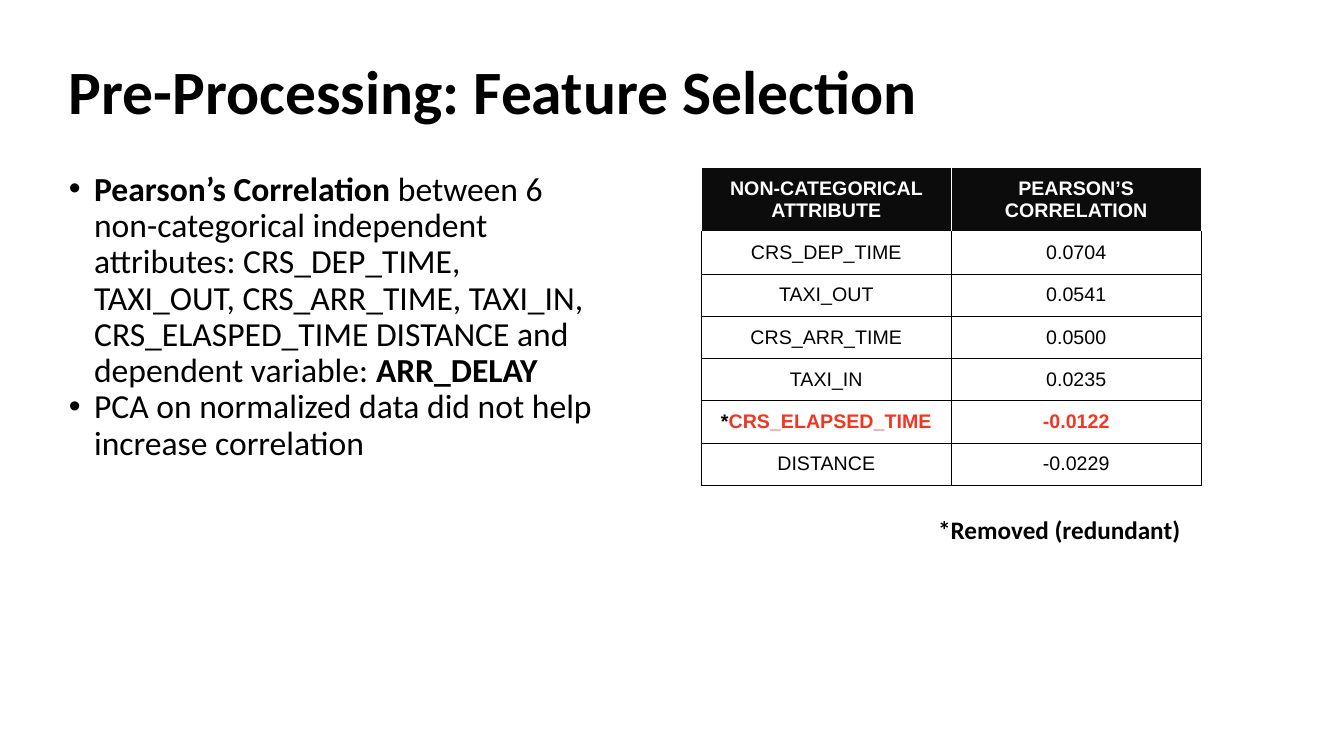
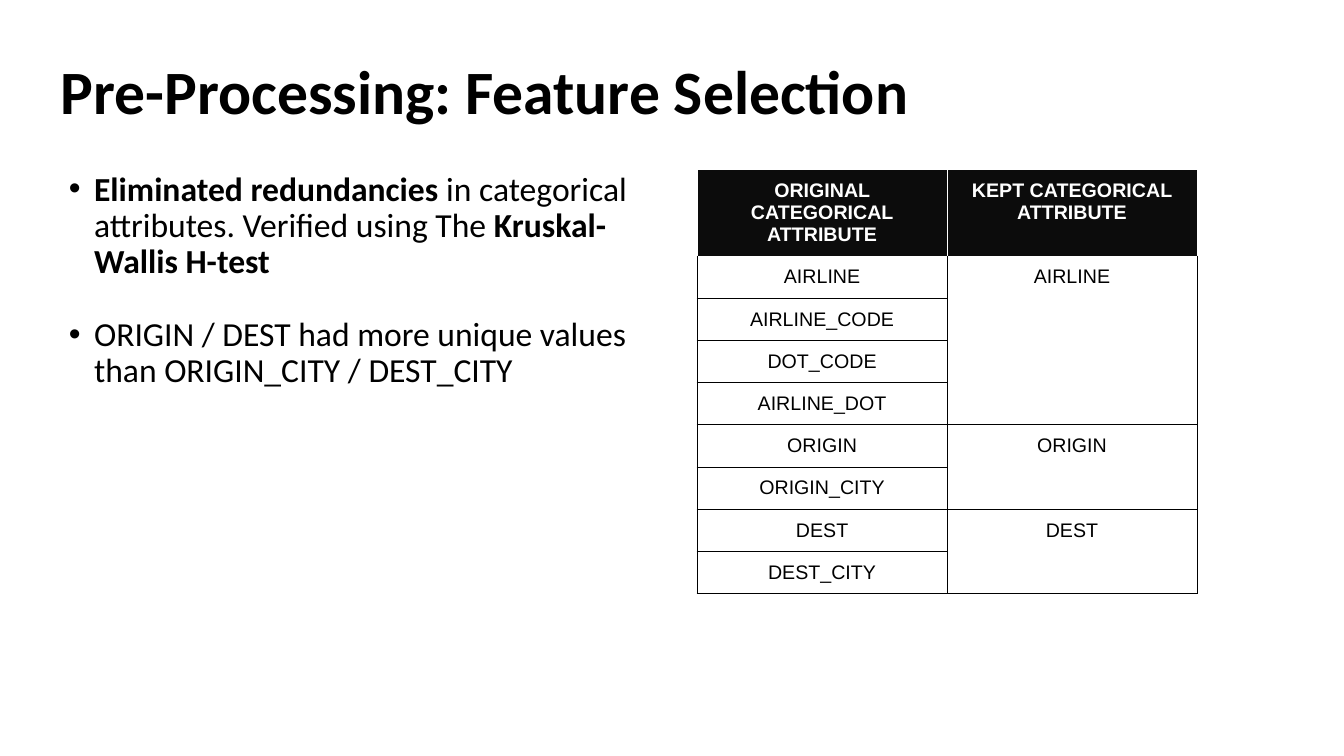
from dataclasses import dataclass

from lxml.etree import SubElement
from pptx import Presentation
from pptx.dml.color import RGBColor
from pptx.enum.text import MSO_ANCHOR, MSO_AUTO_SIZE, PP_ALIGN
from pptx.oxml.ns import qn
from pptx.util import Inches, Pt

GRID = Inches(1) / 12  # the slide is 160 columns by 90 rows


@dataclass(frozen=True)
class Theme:
    ink: str = "000000"
    paper: str = "FFFFFF"
    header: str = "0C0C0C"
    alert: str = "F03723"
    font: str = "Calibri"
    table_font: str = "Arial"
    title_size: int = 44
    body_size: int = 24
    note_size: int = 18
    cell_size: int = 14
    border: float = 0.75
    line_spacing: float = 0.9


T = Theme()
TITLE = "Pre-Processing: Feature Selection"


def units(n):
    return int(n * GRID)


def place(shape, box):
    for name, value in zip(("left", "top", "width", "height"), box):
        setattr(shape, name, units(value))


def add_runs(p, runs, font, size, bold=False, color=T.ink):
    """Write a string, or (text, overrides) pairs, into a paragraph."""
    for text, extra in [(runs, {})] if isinstance(runs, str) else runs:
        r = p.add_run()
        r.text = text
        look = {"name": font, "size": Pt(size), "bold": bold, "color": color, **extra}
        r.font.color.rgb = RGBColor.from_string(look.pop("color"))
        for name, value in look.items():
            setattr(r.font, name, value)


def set_frame(tf, **values):
    for name, value in {"word_wrap": True, "auto_size": MSO_AUTO_SIZE.NONE, **values}.items():
        setattr(tf, name, value)


def add_title(s, box):
    sp = s.shapes.title
    place(sp, box)
    set_frame(sp.text_frame, vertical_anchor=MSO_ANCHOR.MIDDLE)
    p = sp.text_frame.paragraphs[0]
    p.alignment, p.line_spacing = PP_ALIGN.LEFT, T.line_spacing
    add_runs(p, TITLE, T.font, T.title_size, bold=True)


def add_bullets(s, box, items, gap=0):
    sp = s.placeholders[1]
    place(sp, box)
    tf = sp.text_frame
    set_frame(tf, vertical_anchor=MSO_ANCHOR.TOP)
    for i, runs in enumerate(items):
        p = tf.add_paragraph() if i else tf.paragraphs[0]
        p.line_spacing = T.line_spacing
        p.space_before = Pt(gap if i else 0)
        pPr = p._p.get_or_add_pPr()
        pPr.set("marL", str(units(3)))
        pPr.set("indent", str(units(-3)))
        add_runs(p, runs, T.font, T.body_size)


def set_borders(cell, colors):
    """Draw the sides named in colors, a dict such as {"L": "000000"}."""
    tcPr = cell._tc.get_or_add_tcPr()
    for side, color in colors.items():
        ln = SubElement(tcPr, qn(f"a:ln{side}"), w=str(Pt(T.border)))
        fill = SubElement(ln, qn("a:solidFill"))
        SubElement(fill, qn("a:srgbClr"), val=color)


def style_cell(cell, row, last_row):
    if cell.is_spanned:
        sides = "LRB" if last_row else "LR"
    else:
        sides = "LRTB"
    colors = {side: T.paper if row == 0 or (row == 1 and side == "T") else T.ink
              for side in sides}
    set_borders(cell, colors)
    if row == 0:
        cell.fill.solid()
        cell.fill.fore_color.rgb = RGBColor.from_string(T.header)
    else:
        cell.fill.background()
    for side in ("left", "top", "right", "bottom"):
        setattr(cell, f"margin_{side}", Inches(0.1))


def add_table(s, left, top, header_height, rows, row_height=5, col_width=29.75):
    """Fill a table; None continues the cell above it."""
    n, cols = len(rows), len(rows[0])
    height = header_height + row_height * (n - 1)
    table = s.shapes.add_table(
        n, cols, *map(units, (left, top, col_width * cols, height))).table
    table.horz_banding = False
    for c in range(cols):
        starts = [r for r in range(n) if rows[r][c] is not None]
        for first, after in zip(starts, starts[1:] + [n]):
            if after - first > 1:
                table.cell(first, c).merge(table.cell(after - 1, c))
    for r, row in enumerate(rows):
        table.rows[r].height = units(row_height if r else header_height)
        for c, runs in enumerate(row):
            cell = table.cell(r, c)
            style_cell(cell, r, r == n - 1)
            if runs is not None:
                p = cell.text_frame.paragraphs[0]
                p.alignment = PP_ALIGN.CENTER
                add_runs(p, runs, T.table_font, T.cell_size, bold=r == 0,
                         color=T.ink if r else T.paper)


def add_note(s, box, text):
    tf = s.shapes.add_textbox(*map(units, box)).text_frame
    margins = {f"margin_{side}": Inches(0.1) for side in ("left", "top", "right", "bottom")}
    set_frame(tf, **margins)
    add_runs(tf.paragraphs[0], text, T.font, T.note_size, bold=True)


def correlation_slide(s):
    bold, alert = {"bold": True}, {"bold": True, "color": T.alert}
    add_title(s, (7, 2.5, 138, 17.4))
    add_bullets(s, (7, 19.9, 66.6, 54.2), [
        [("Pearson’s Correlation", bold),
         (" between 6 non-categorical independent attributes: CRS_DEP_TIME, TAXI_OUT, "
          "CRS_ARR_TIME, TAXI_IN, CRS_ELASPED_TIME DISTANCE and dependent variable: ", {}),
         ("ARR_DELAY", bold)],
        "PCA on normalized data did not help increase correlation",
    ])
    add_table(s, 83.5, 19.95, 7.6, [
        ("NON-CATEGORICAL ATTRIBUTE", "PEARSON’S CORRELATION"),
        ("CRS_DEP_TIME", "0.0704"),
        ("TAXI_OUT", "0.0541"),
        ("CRS_ARR_TIME", "0.0500"),
        ("TAXI_IN", "0.0235"),
        ([("*", bold), ("CRS_ELAPSED_TIME", alert)], [("-0.0122", alert)]),
        ("DISTANCE", "-0.0229"),
    ])
    add_note(s, (110.5, 60, 32.5, 6), "*Removed (redundant)")


def redundancy_slide(s):
    bold = {"bold": True}
    add_title(s, (6, 2.5, 138, 17.4))
    add_bullets(s, (7, 19.9, 69.1, 67.9), [
        [("Eliminated redundancies", bold),
         (" in categorical attributes. Verified using The ", {}),
         ("Kruskal-Wallis H-test", bold)],
        "ORIGIN / DEST had more unique values than ORIGIN_CITY / DEST_CITY",
    ], gap=26)
    add_table(s, 83, 20.2, 10.1, [
        ("ORIGINAL CATEGORICAL ATTRIBUTE", "KEPT CATEGORICAL ATTRIBUTE"),
        ("AIRLINE", "AIRLINE"),
        ("AIRLINE_CODE", None),
        ("DOT_CODE", None),
        ("AIRLINE_DOT", None),
        ("ORIGIN", "ORIGIN"),
        ("ORIGIN_CITY", None),
        ("DEST", "DEST"),
        ("DEST_CITY", None),
    ])


def main():
    prs = Presentation()
    prs.slide_width, prs.slide_height = units(160), units(90)
    for build in (correlation_slide, redundancy_slide):
        build(prs.slides.add_slide(prs.slide_layouts[1]))
    prs.save("out.pptx")


if __name__ == "__main__":
    main()
